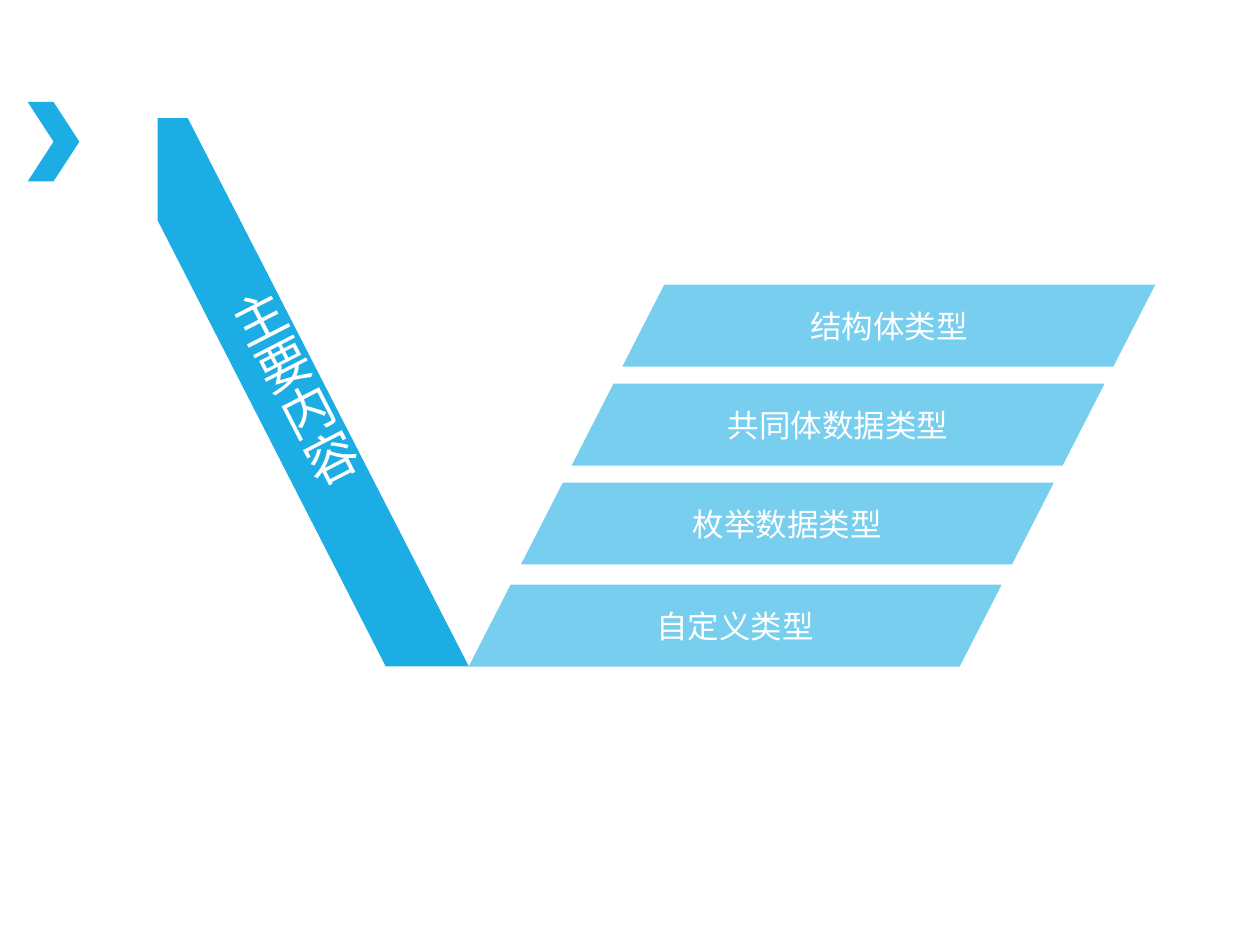
"""Contents slide: a slanted title stroke with four topic bands rising beside it."""
import math
from dataclasses import dataclass

from pptx import Presentation, util as u
from pptx.dml.color import RGBColor
from pptx.enum import shapes, text

COLUMNS, ROWS = 100, 75
CELL = u.Inches(0.1)


@dataclass(frozen=True)
class Theme:
    accent: str = "1CADE4"
    band: str = "77CEEF"
    lettering: str = "FFFFFF"
    title_font: str = "Arial"
    band_font: str = "Times New Roman"
    title_size: int = 30
    band_size: int = 18


@dataclass(frozen=True)
class Band:
    label: str
    top: float


THEME = Theme()
BANDS = [
    Band("自定义类型", 46.4),
    Band("枚举数据类型", 38.3),
    Band("共同体数据类型", 30.45),
    Band("结构体类型", 22.6),
]
BAND_WIDTH, BAND_HEIGHT, BAND_SLANT = 42.3, 6.5, 3.33
BASE_LEFT, BASE_TOP = 37.2, 46.4
STROKE_OUTLINE = [(12.5, 9.4), (14.9, 9.4), (37.2, 52.9), (30.6, 52.9), (12.5, 17.5)]
STROKE_CENTER = (23.25, 32)
STROKE_TILT = -27.1
TITLE_WIDTH, TITLE_HEIGHT = 5.9, 20


def cells(count: float) -> int:
    """Convert grid cells to a length."""
    return round(count * CELL)


def paint(shape, color: str) -> None:
    """Give a shape a plain fill without line or shadow."""
    shape.shadow.inherit = False
    shape.fill.solid()
    shape.fill.fore_color.rgb = RGBColor.from_string(color)
    shape.line.fill.background()


def write(shape, words: str, font: str, size: int, insets: tuple[float, ...]) -> None:
    """Write one centred line into a shape."""
    frame = shape.text_frame
    frame.text = words
    frame.word_wrap = True
    frame.auto_size = text.MSO_AUTO_SIZE.NONE
    frame.vertical_anchor = text.MSO_ANCHOR.MIDDLE
    frame.margin_left, frame.margin_top, frame.margin_right, frame.margin_bottom = map(u.Inches, insets)
    para = frame.paragraphs[0]
    para.alignment = text.PP_ALIGN.CENTER
    span = para.runs[0]
    span.font.name = font
    span.font.size = u.Pt(size)
    span.font.color.rgb = RGBColor.from_string(THEME.lettering)


def add_marker(page) -> None:
    """Draw the chevron at the upper left."""
    marker = page.shapes.add_shape(
        shapes.MSO_SHAPE.CHEVRON, cells(2.2), cells(8.1), cells(4.1), cells(6.3))
    marker.adjustments[0] = 0.5
    paint(marker, THEME.accent)


def add_band(page, band: Band) -> None:
    """Draw a topic band, shifted along the common slant."""
    left = BASE_LEFT + (BASE_TOP - band.top) * BAND_SLANT / BAND_HEIGHT
    shape = page.shapes.add_shape(
        shapes.MSO_SHAPE.PARALLELOGRAM,
        cells(left), cells(band.top), cells(BAND_WIDTH), cells(BAND_HEIGHT))
    shape.adjustments[0] = BAND_SLANT / BAND_HEIGHT
    paint(shape, THEME.band)
    write(shape, band.label, THEME.band_font, THEME.band_size, (0.18, 0.04, 0.18, 0.04))


def upright(point: tuple[float, float]) -> tuple[int, int]:
    """Turn a point of the tilted stroke back to the vertical."""
    angle = math.radians(-STROKE_TILT)
    across, down = point[0] - STROKE_CENTER[0], point[1] - STROKE_CENTER[1]
    return (
        cells(STROKE_CENTER[0] + across * math.cos(angle) - down * math.sin(angle)),
        cells(STROKE_CENTER[1] + across * math.sin(angle) + down * math.cos(angle)),
    )


def add_stroke(page) -> None:
    """Draw the tilted stroke."""
    start, *others = map(upright, STROKE_OUTLINE)
    builder = page.shapes.build_freeform(*start)
    builder.add_line_segments(others, close=True)
    stroke = builder.convert_to_shape()
    stroke.rotation = STROKE_TILT
    paint(stroke, THEME.accent)


def add_title(page, words: str) -> None:
    """Set the vertical title at the middle of the stroke, with its tilt."""
    box = page.shapes.add_textbox(
        cells(STROKE_CENTER[0] - TITLE_WIDTH / 2), cells(STROKE_CENTER[1] - TITLE_HEIGHT / 2),
        cells(TITLE_WIDTH), cells(TITLE_HEIGHT))
    box.rotation = STROKE_TILT
    write(box, words, THEME.title_font, THEME.title_size, (0.21, 0.07, 0.09, 0.07))
    box.text_frame._txBody.bodyPr.set("vert", "eaVert")


def main() -> None:
    """Build and save the deck."""
    deck = Presentation()
    deck.slide_width, deck.slide_height = cells(COLUMNS), cells(ROWS)
    page = deck.slides.add_slide(deck.slide_layouts[6])
    add_marker(page)
    for band in BANDS:
        add_band(page, band)
    add_stroke(page)
    add_title(page, "主要内容")
    deck.save("out.pptx")


if __name__ == "__main__":
    main()
